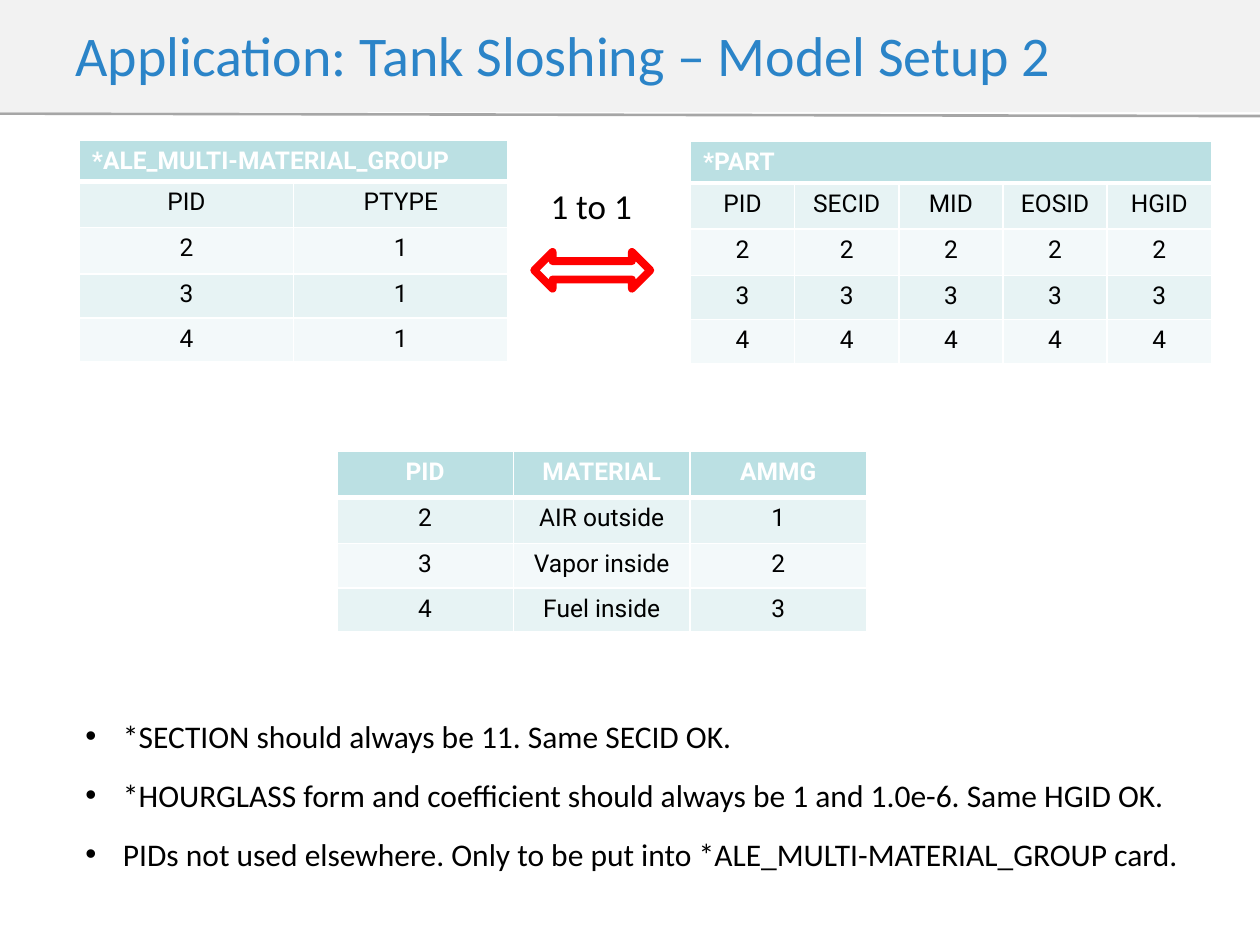
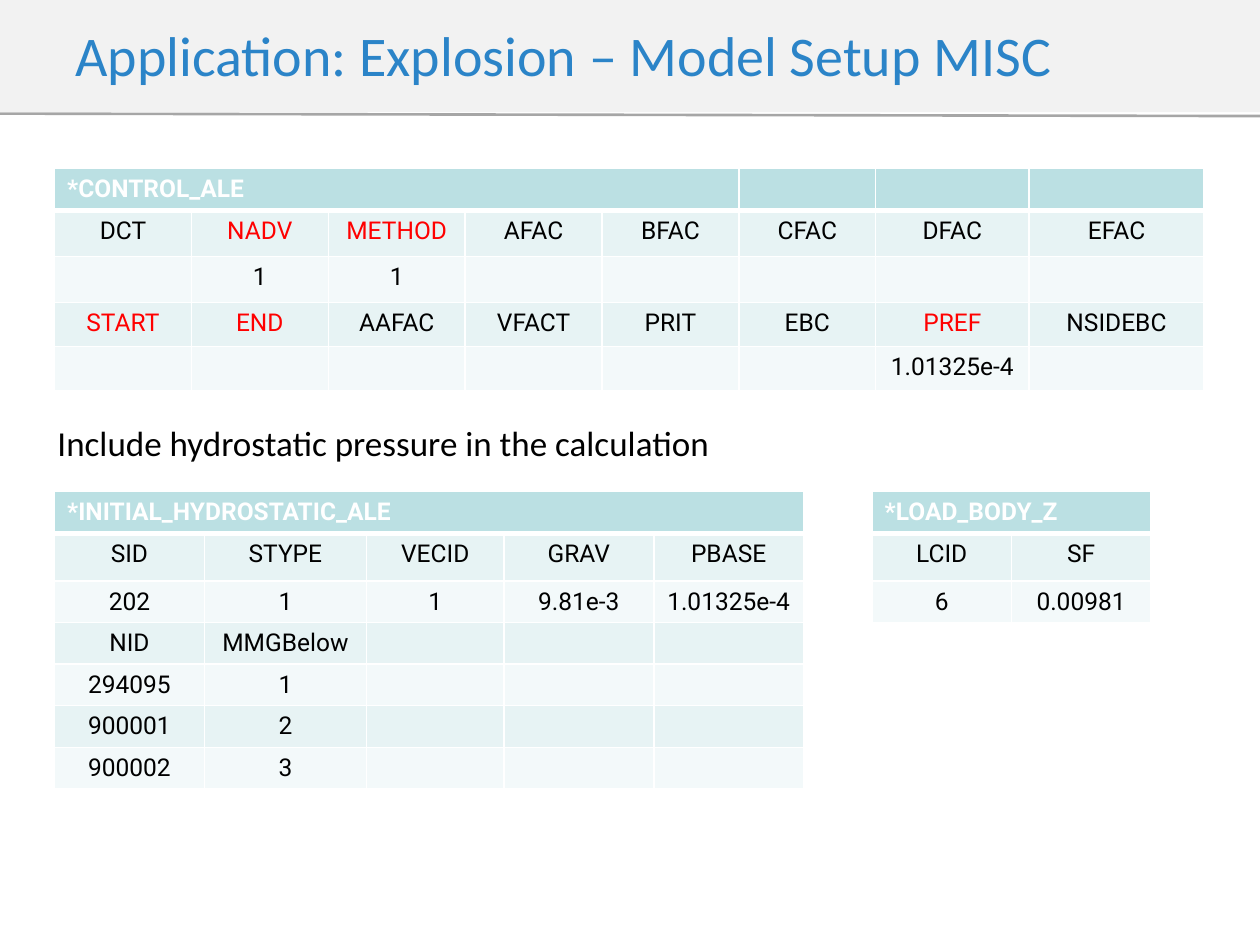
from dataclasses import dataclass
from typing import Any, Optional

from lxml.etree import SubElement
from pptx import Presentation
from pptx.dml.color import RGBColor
from pptx.enum.shapes import MSO_CONNECTOR, MSO_SHAPE
from pptx.enum.text import MSO_ANCHOR, PP_ALIGN
from pptx.oxml.ns import qn
from pptx.util import Cm, Pt

WHITE = RGBColor(0xFF, 0xFF, 0xFF)
BLACK = RGBColor(0x00, 0x00, 0x00)
RED = RGBColor(0xFF, 0x00, 0x00)
TITLE_BLUE = RGBColor(0x2B, 0x84, 0xC8)
BAND_GREY = RGBColor(0xF2, 0xF2, 0xF2)
RULE_GREY = RGBColor(0xA6, 0xA6, 0xA6)
HEADER_TEAL = RGBColor(0xBB, 0xE0, 0xE3)
ROW_TINTS = (RGBColor(0xE7, 0xF3, 0xF4), RGBColor(0xF3, 0xF9, 0xFA))

TEXT_FONT = "Calibri"
TABLE_FONT = "Roboto"
THIN_BORDER = Pt(1)
HEADER_BORDER = Pt(3)
SLIDE_WIDTH = Cm(25.4)
SLIDE_HEIGHT = Cm(19.05)


@dataclass(frozen=True)
class CardTable:
    """A table of keyword fields; lengths in cm, header_span columns joined at top left."""

    left: float
    top: float
    columns: tuple[float, ...]
    rows: tuple[float, ...]
    cells: tuple[tuple[str, ...], ...]
    header_span: int = 1
    highlighted: frozenset[str] = frozenset()


@dataclass(frozen=True)
class Note:
    """A block of text; lengths in cm."""

    left: float
    top: float
    width: float
    height: float
    lines: tuple[str, ...]
    size: int = 20
    bulleted: bool = False


@dataclass(frozen=True)
class CardSlide:
    title: str
    tables: tuple[CardTable, ...]
    notes: tuple[Note, ...]
    has_arrow: bool = False


GROUP_ROWS = (0.79, 0.93, 0.93, 0.89, 0.89)
HYDROSTATIC_ROWS = (0.79, 0.96) + (0.76,) * 5

SLIDES = (
    CardSlide(
        title="Application: Tank Sloshing – Model Setup 2",
        tables=(
            CardTable(
                1.6, 2.82, (4.32,) * 2, GROUP_ROWS,
                (
                    ("*ALE_MULTI-MATERIAL_GROUP",),
                    ("PID", "PTYPE"),
                    *((part, "1") for part in "234"),
                ),
                header_span=2,
            ),
            CardTable(
                13.92, 2.85, (2.1,) * 5, GROUP_ROWS,
                (
                    ("*PART",),
                    ("PID", "SECID", "MID", "EOSID", "HGID"),
                    *((part,) * 5 for part in "234"),
                ),
                header_span=5,
            ),
            CardTable(
                6.79, 9.1, (3.56,) * 3, GROUP_ROWS[1:],
                (
                    ("PID", "MATERIAL", "AMMG"),
                    ("2", "AIR outside", "1"),
                    ("3", "Vapor inside", "2"),
                    ("4", "Fuel inside", "3"),
                ),
            ),
        ),
        notes=(
            Note(10.85, 3.6, 2.16, 1.11, ("1 to 1",)),
            Note(
                1.47, 14.33, 23.22, 3.43,
                (
                    "*SECTION should always be 11. Same SECID OK.",
                    "*HOURGLASS form and coefficient should always be 1 and 1.0e-6. Same HGID OK.",
                    "PIDs not used elsewhere. Only to be put into *ALE_MULTI-MATERIAL_GROUP card.",
                ),
                size=18,
                bulleted=True,
            ),
        ),
        has_arrow=True,
    ),
    CardSlide(
        title="Application: Explosion – Model Setup MISC",
        tables=(
            CardTable(
                1.1, 3.4, (2.76,) * 6 + (3.09, 3.53), GROUP_ROWS,
                (
                    ("*CONTROL_ALE",),
                    ("DCT", "NADV", "METHOD", "AFAC", "BFAC", "CFAC", "DFAC", "EFAC"),
                    ("", "1", "1"),
                    ("START", "END", "AAFAC", "VFACT", "PRIT", "EBC", "PREF", "NSIDEBC"),
                    ("",) * 6 + ("1.01325e-4",),
                ),
                header_span=5,
                highlighted=frozenset({"NADV", "METHOD", "START", "END", "PREF"}),
            ),
            CardTable(
                1.1, 9.91, (3.02, 3.27, 2.77, 3.02, 3.02), HYDROSTATIC_ROWS,
                (
                    ("*INITIAL_HYDROSTATIC_ALE",),
                    ("SID", "STYPE", "VECID", "GRAV", "PBASE"),
                    ("202", "1", "1", "9.81e-3", "1.01325e-4"),
                    ("NID", "MMGBelow"),
                    ("294095", "1"),
                    ("900001", "2"),
                    ("900002", "3"),
                ),
                header_span=5,
            ),
            CardTable(
                17.58, 9.91, (2.81,) * 2, HYDROSTATIC_ROWS[:3],
                (("*LOAD_BODY_Z",), ("LCID", "SF"), ("6", "0.00981")),
                header_span=2,
            ),
        ),
        notes=(
            Note(0.91, 8.38, 13.79, 1.11, ("Include hydrostatic pressure in the calculation",)),
        ),
    ),
)


def style_paragraph(
    paragraph: Any, font: str, size: int, color: RGBColor,
    bold: bool = False, alignment: Optional[PP_ALIGN] = PP_ALIGN.LEFT,
) -> None:
    paragraph.alignment = alignment
    paragraph.font.name = font
    paragraph.font.size = Pt(size)
    paragraph.font.bold = bold
    paragraph.font.color.rgb = color


def draw_title(slide: Any, title: str) -> None:
    """Draw the grey title band and the slightly sloping rule below it."""
    rule = slide.shapes.add_connector(
        MSO_CONNECTOR.STRAIGHT, Cm(0), Cm(2.29), Cm(25.65), Cm(2.34)
    )
    rule.line.color.rgb = RULE_GREY
    rule.line.width = Pt(1.5)
    SubElement(rule._element.spPr, qn("a:effectLst"))

    band = slide.shapes.add_shape(
        MSO_SHAPE.RECTANGLE, Cm(0), Cm(-0.08), SLIDE_WIDTH, Cm(2.34)
    )
    band.shadow.inherit = False
    band.fill.solid()
    band.fill.fore_color.rgb = BAND_GREY
    band.line.fill.background()
    frame = band.text_frame
    frame.word_wrap = True
    frame.vertical_anchor = MSO_ANCHOR.MIDDLE
    frame.margin_left = Cm(1.52)
    frame.text = title
    style_paragraph(frame.paragraphs[0], TEXT_FONT, 32, TITLE_BLUE)


def set_borders(cell: Any, top: int, bottom: int) -> None:
    """Give a cell white borders; must run before its fill is set."""
    properties = cell._tc.get_or_add_tcPr()
    widths = {"lnL": THIN_BORDER, "lnR": THIN_BORDER, "lnT": top, "lnB": bottom}
    for tag, width in widths.items():
        border = SubElement(properties, qn(f"a:{tag}"), w=str(int(width)))
        fill = SubElement(border, qn("a:solidFill"))
        SubElement(fill, qn("a:srgbClr"), val=str(WHITE))


def draw_table(slide: Any, card: CardTable) -> None:
    frame = slide.shapes.add_table(
        len(card.rows), len(card.columns), Cm(card.left), Cm(card.top),
        Cm(sum(card.columns)), Cm(sum(card.rows)),
    )
    table = frame.table
    table.first_row = False
    table.horz_banding = False
    for column, width in zip(table.columns, card.columns):
        column.width = Cm(width)
    for row, height in zip(table.rows, card.rows):
        row.height = Cm(height)

    for row_index, texts in enumerate(card.cells):
        is_header = row_index == 0
        for column_index in range(len(card.columns)):
            cell = table.cell(row_index, column_index)
            set_borders(
                cell,
                top=HEADER_BORDER if row_index == 1 else THIN_BORDER,
                bottom=HEADER_BORDER if is_header else THIN_BORDER,
            )
            cell.fill.solid()
            cell.fill.fore_color.rgb = (
                HEADER_TEAL if is_header else ROW_TINTS[(row_index - 1) % 2]
            )
            text = texts[column_index] if column_index < len(texts) else ""
            if not text:
                # Without margins an empty cell cannot stretch its row.
                cell.margin_top = cell.margin_bottom = 0
                continue
            cell.text = text
            body_color = RED if text in card.highlighted else BLACK
            style_paragraph(
                cell.text_frame.paragraphs[0], TABLE_FONT, 14,
                WHITE if is_header else body_color,
                bold=is_header,
                alignment=PP_ALIGN.LEFT if is_header and card.header_span > 1 else PP_ALIGN.CENTER,
            )
    if card.header_span > 1:
        table.cell(0, 0).merge(table.cell(0, card.header_span - 1))


def draw_note(slide: Any, note: Note) -> None:
    box = slide.shapes.add_textbox(
        Cm(note.left), Cm(note.top), Cm(note.width), Cm(note.height)
    )
    frame = box.text_frame
    frame.word_wrap = note.bulleted
    for index, line in enumerate(note.lines):
        paragraph = frame.add_paragraph() if index else frame.paragraphs[0]
        paragraph.text = line
        if note.bulleted:
            properties = paragraph._p.get_or_add_pPr()
            properties.set("marL", str(Cm(0.76)))
            properties.set("indent", str(Cm(-0.76)))
            paragraph.space_before = Pt(6 if index else 0)
            paragraph.space_after = Pt(6)
            SubElement(properties, qn("a:buFont"), typeface="Arial")
            SubElement(properties, qn("a:buChar"), char="•")
        style_paragraph(paragraph, TEXT_FONT, note.size, BLACK)


def draw_arrow(slide: Any) -> None:
    arrow = slide.shapes.add_shape(
        MSO_SHAPE.LEFT_RIGHT_ARROW, Cm(10.77), Cm(5.08), Cm(2.34), Cm(0.74)
    )
    arrow.shadow.inherit = False
    arrow.fill.solid()
    arrow.fill.fore_color.rgb = WHITE
    arrow.line.color.rgb = RED
    arrow.line.width = Pt(4.5)


def main() -> None:
    presentation = Presentation()
    presentation.slide_width = SLIDE_WIDTH
    presentation.slide_height = SLIDE_HEIGHT
    blank_layout = presentation.slide_layouts[6]
    for content in SLIDES:
        slide = presentation.slides.add_slide(blank_layout)
        draw_title(slide, content.title)
        for card in content.tables:
            draw_table(slide, card)
        if content.has_arrow:
            draw_arrow(slide)
        for note in content.notes:
            draw_note(slide, note)
    presentation.save("out.pptx")


if __name__ == "__main__":
    main()
